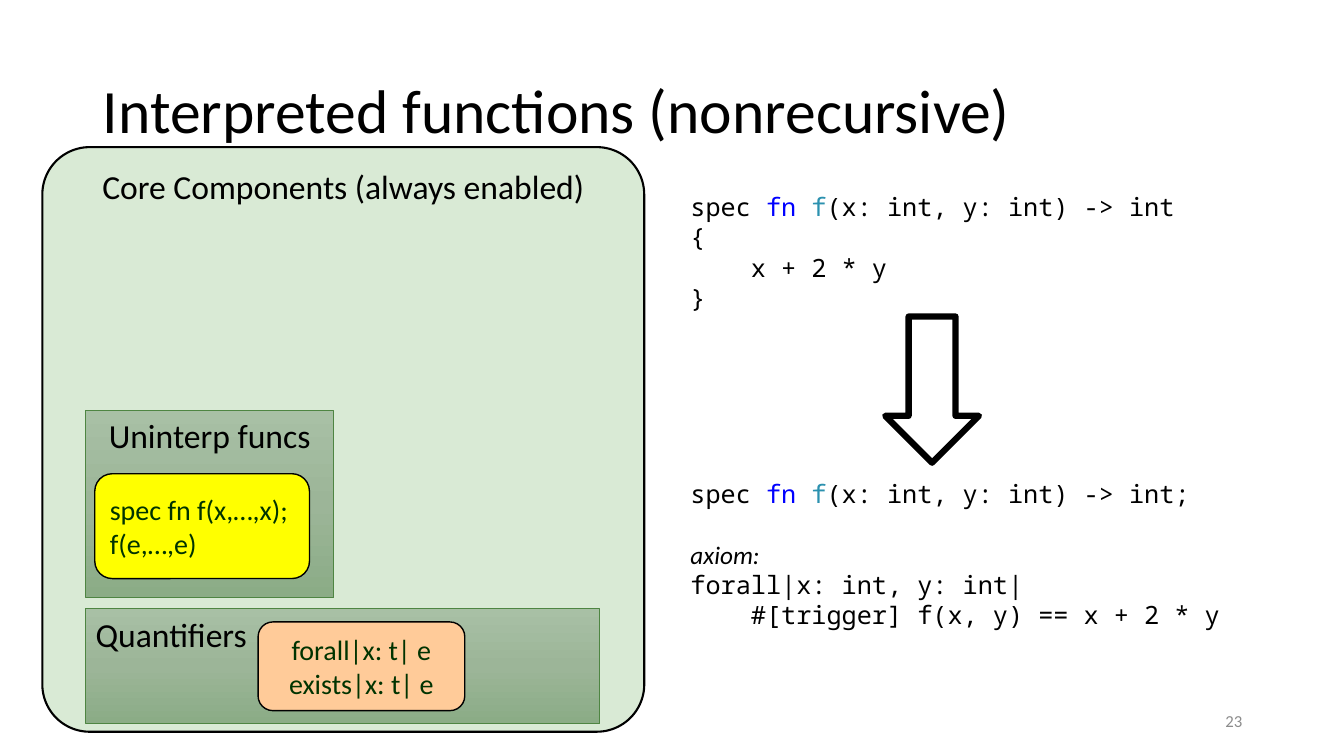
from copy import deepcopy

from pptx import Presentation
from pptx import util as u
from pptx.dml.color import RGBColor
from pptx.enum import shapes, text
from pptx.oxml.ns import qn

COLOURS = {
    "black": "000000", "white": "FFFFFF", "core": "D9EAD5",
    "edge": "4E8542", "yellow": "FFFF00", "peach": "FFCB99",
    "snippet": "003300", "keyword": "0000FF", "function": "2B91AF",
    "number": "8C8C8C",
}
SAGE = [(0, "A8C0A5"), (50, "9CB598"), (100, "8BAC86")]
SANS, MONO = "Calibri", "Noto Sans Mono"
LEFT, CENTRE, RIGHT = (text.PP_ALIGN.LEFT, text.PP_ALIGN.CENTER,
                       text.PP_ALIGN.RIGHT)
TOP, MIDDLE = text.MSO_ANCHOR.TOP, text.MSO_ANCHOR.MIDDLE
RECT, ROUNDED, ARROW = (shapes.MSO_SHAPE.RECTANGLE,
                        shapes.MSO_SHAPE.ROUNDED_RECTANGLE,
                        shapes.MSO_SHAPE.DOWN_ARROW)
SIGNATURE = [("spec ", "black"), ("fn", "keyword"), (" ", "black"),
             ("f", "function")]


def rgb(name):
    return RGBColor.from_string(COLOURS[name])


def inches(box):
    return [u.Inches(length) for length in box]


def inside(box, dx, dy, width, height):
    return box[0] + dx, box[1] + dy, width, height


def style(paragraph, size, colour="black", font=SANS, align=LEFT):
    paragraph.alignment = align
    paragraph.font.size = u.Pt(size)
    paragraph.font.name = font
    paragraph.font.color.rgb = rgb(colour)


def write(frame, lines, size, colour="black", align=LEFT, anchor=TOP):
    frame.word_wrap = True
    frame.vertical_anchor = anchor
    for index, line in enumerate(lines):
        paragraph = frame.add_paragraph() if index else frame.paragraphs[0]
        paragraph.add_run().text = line
        style(paragraph, size, colour, align=align)


def add_panel(slide, kind, box, fill, line, width):
    panel = slide.shapes.add_shape(kind, *inches(box))
    panel.shadow.inherit = False
    if fill == "sage":
        shade(panel)
    else:
        panel.fill.solid()
        panel.fill.fore_color.rgb = rgb(fill)
    panel.line.color.rgb = rgb(line)
    panel.line.width = u.Pt(width)
    return panel


def shade(panel):
    panel.fill.gradient()
    panel.fill.gradient_angle = 270
    stops = panel._element.spPr.find(".//" + qn("a:gsLst"))
    stops.insert(1, deepcopy(stops[0]))
    for stop, (position, colour) in zip(panel.fill.gradient_stops, SAGE):
        stop.position = position / 100
        stop.color.rgb = RGBColor.from_string(colour)


def add_title(slide, box):
    frame = slide.shapes.add_textbox(*inches(box)).text_frame
    write(frame, ["Interpreted functions (nonrecursive)"], 44, anchor=MIDDLE)
    frame.paragraphs[0].line_spacing = 0.9


def add_component(slide, box, name, name_align, snippet_box, snippet,
                  snippet_fill, snippet_align):
    component = add_panel(slide, RECT, box, "sage", "edge", 0.5)
    write(component.text_frame, [name], 24, align=name_align)
    card = add_panel(slide, ROUNDED, inside(box, *snippet_box),
                     snippet_fill, "black", 1)
    write(card.text_frame, snippet, 20, "snippet", snippet_align, MIDDLE)


def add_core(slide, box):
    core = add_panel(slide, ROUNDED, box, "core", "black", 1.5)
    core.adjustments[0] = 0.081
    write(core.text_frame, ["Core Components (always enabled)"], 24,
          align=CENTRE)
    add_component(slide, inside(box, 0.43, 2.61, 2.46, 1.86),
                  "Uninterp funcs", CENTRE, (0.09, 0.63, 2.13, 1.04),
                  ["spec fn f(x,…,x);", "f(e,…,e)"], "yellow", LEFT)
    add_component(slide, inside(box, 0.43, 4.58, 5.1, 1.14),
                  "Quantifiers", LEFT, (1.71, 0.13, 2.05, 0.88),
                  ["forall|x: t| e", "exists|x: t| e"], "peach", CENTRE)


def add_code(slide, box, lines):
    frame = slide.shapes.add_textbox(*inches(box)).text_frame
    frame.word_wrap = True
    for index, line in enumerate(lines):
        paragraph = frame.add_paragraph() if index else frame.paragraphs[0]
        style(paragraph, 18, font=MONO)
        for words, colour in line:
            run = paragraph.add_run()
            run.text = words
            run.font.color.rgb = rgb(colour)
    return frame


def add_translation(slide, box):
    add_code(slide, inside(box, 0, 0, 5.26, 1.3), [
        SIGNATURE + [("(x: int, y: int) -> int {", "black")],
        [("    x + 2 * y", "black")],
        [("}", "black")],
    ])
    add_panel(slide, ARROW, inside(box, 2.03, 1.29, 0.93, 1.45),
              "white", "black", 4.5)
    axiom_code = add_code(slide, inside(box, 0, 2.85, box[2], 1.62), [
        SIGNATURE + [("(x: int, y: int) -> int;", "black")],
        [("axiom:", "black")],
        [("forall|x: int, y: int|", "black")],
        [("    #[trigger] f(x, y) == x + 2 * y", "black")],
    ])
    axiom = axiom_code.paragraphs[1]
    axiom.space_before = u.Pt(21.5)
    axiom.font.name = SANS
    axiom.font.italic = True


def add_page_number(slide, box):
    frame = slide.shapes.add_textbox(*inches(box)).text_frame
    write(frame, ["23"], 12, "number", RIGHT, MIDDLE)


def main():
    deck = Presentation()
    deck.slide_width, deck.slide_height = u.Inches(13.33), u.Inches(7.5)
    slide = deck.slides.add_slide(deck.slide_layouts[6])
    add_core(slide, (0.42, 1.46, 5.97, 5.8))
    add_title(slide, (0.92, 0.4, 10.69, 1.45))
    add_translation(slide, (6.75, 1.85, 5.66, 4.47))
    add_page_number(slide, (9.42, 6.95, 3, 0.4))
    deck.save("out.pptx")


if __name__ == "__main__":
    main()
